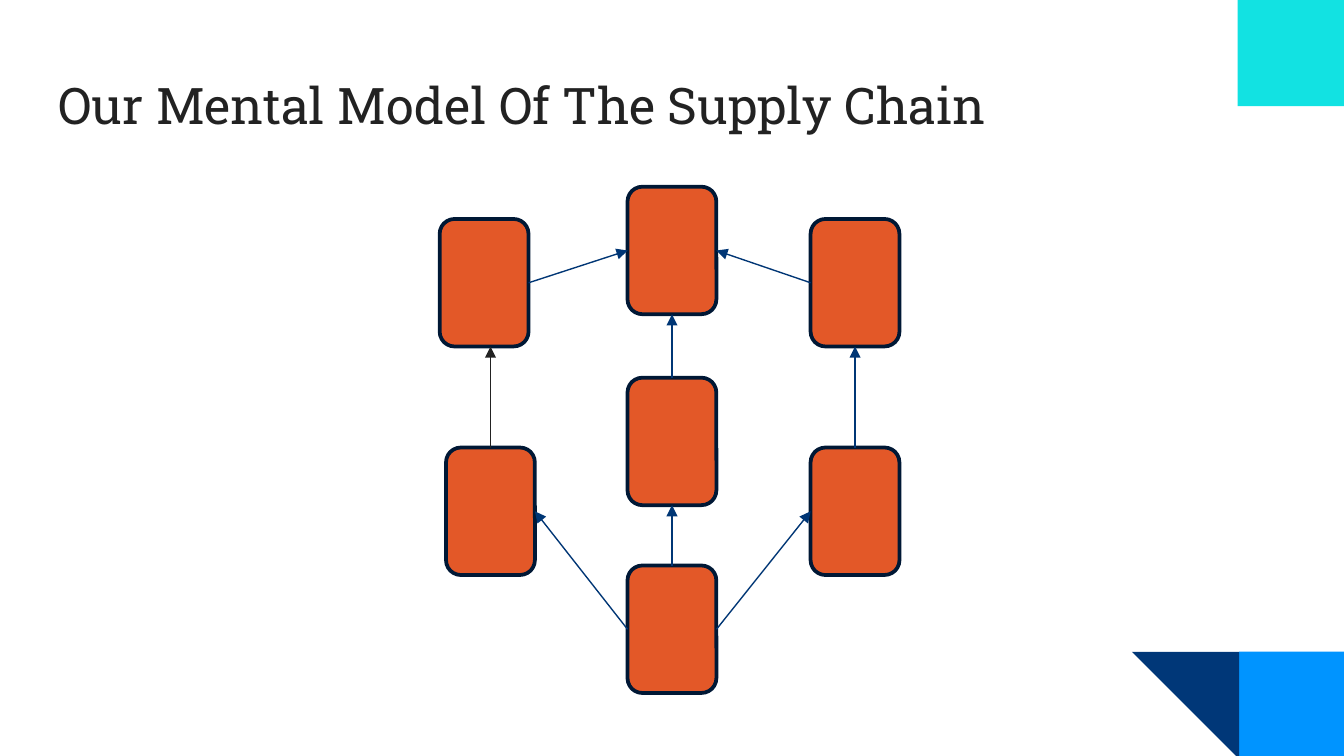
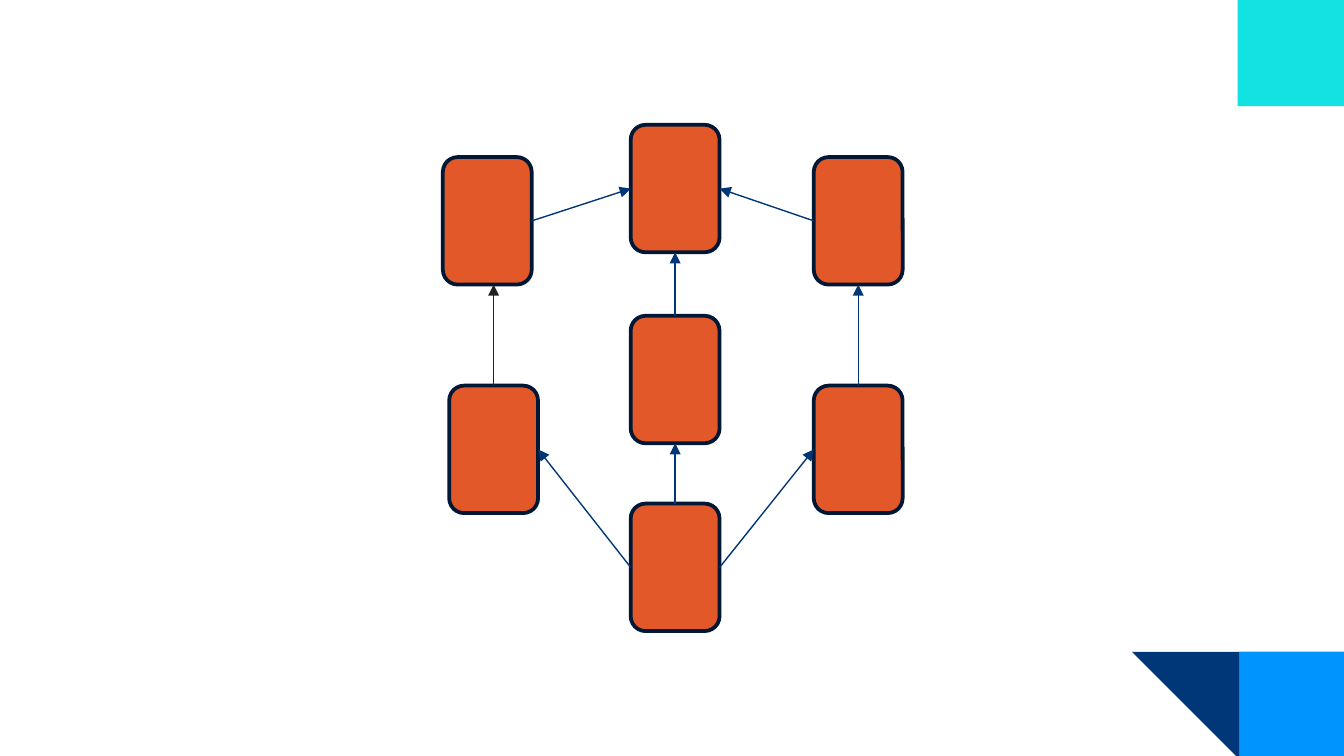
from lxml import etree
from pptx import Presentation
from pptx import util as u
from pptx.dml.color import RGBColor
from pptx.enum import shapes, text
from pptx.oxml import ns

COLORS = {
    "cyan": "12E2E2",
    "blue": "0094FF",
    "navy": "003778",
    "arrow": "003675",
    "ink": "222222",
    "box": "E35828",
    "outline": "001835",
}

SLIDES = [
    {"title": "Our Mental Model Of The Supply Chain", "shift": (0, 0), "grouped": False},
    {"title": None, "shift": (0.06, -1.17), "grouped": True},
]

CORNERS = [
    ("RECTANGLE", "blue", (23.42, 12.32, 2.01, 2.01), 0),
    ("RIGHT_TRIANGLE", "navy", (21.39, 12.32, 2.03, 2.03), 180),
    ("RECTANGLE", "cyan", (23.39, 0, 2.01, 2.01), 0),
]

TITLE_AREA = (0.86, 1.14, 23.67, 1.68)
TITLE_FORMAT = {"name": "Roboto Slab", "size": u.Pt(27), "bold": False}

BOX_WIDTH, BOX_HEIGHT = 1.68, 2.41
CENTER, RIGHT = 11.86, 15.32
UPPER, LOWER = 4.14, 8.46
BOXES = {
    "upper left": (8.31, UPPER),
    "top": (CENTER, 3.53),
    "upper right": (RIGHT, UPPER),
    "middle": (CENTER, 7.14),
    "lower left": (8.43, LOWER),
    "lower right": (RIGHT, LOWER),
    "bottom": (CENTER, 10.69),
}

SITES = {"top": (0, 0.5, 0), "left": (1, 0, 0.5), "bottom": (2, 0.5, 1), "right": (3, 1, 0.5)}
ARROWS = [
    ("lower left", "top", "upper left", "bottom", "ink"),
    ("bottom", "top", "middle", "bottom", "arrow"),
    ("bottom", "left", "lower left", "right", "arrow"),
    ("bottom", "right", "lower right", "left", "arrow"),
    ("middle", "top", "top", "bottom", "arrow"),
    ("lower right", "top", "upper right", "bottom", "arrow"),
    ("upper left", "right", "top", "left", "arrow"),
    ("upper right", "left", "top", "right", "arrow"),
]


def color(name):
    return RGBColor.from_string(COLORS[name])


def add_filled(container, kind, fill, area):
    shape = container.add_shape(getattr(shapes.MSO_SHAPE, kind), *map(u.Cm, area))
    shape.shadow.inherit = False
    shape.fill.solid()
    shape.fill.fore_color.rgb = color(fill)
    shape.line.fill.background()
    return shape


def add_corners(slide):
    for kind, fill, area, rotation in CORNERS:
        add_filled(slide.shapes, kind, fill, area).rotation = rotation


def add_title(slide, title):
    frame = slide.shapes.add_textbox(*map(u.Cm, TITLE_AREA)).text_frame
    frame.word_wrap = True
    frame.vertical_anchor = text.MSO_ANCHOR.MIDDLE
    for side in ("left", "top", "right", "bottom"):
        setattr(frame, f"margin_{side}", u.Cm(0.25))
    paragraph = frame.paragraphs[0]
    paragraph.text = title
    for name, value in TITLE_FORMAT.items():
        setattr(paragraph.font, name, value)
    paragraph.font.color.rgb = color("ink")


def add_box(container, left, top):
    shape = add_filled(container, "ROUNDED_RECTANGLE", "box", (left, top, BOX_WIDTH, BOX_HEIGHT))
    shape.line.color.rgb = color("outline")
    shape.line.width = u.Pt(2)
    return shape


def site_point(box, side):
    _, across, down = SITES[side]
    return box.left + int(box.width * across), box.top + int(box.height * down)


def add_arrow(container, start, start_side, end, end_side, tint):
    start_x, start_y = site_point(start, start_side)
    end_x, end_y = site_point(end, end_side)
    upright = start_side == "top"
    aligned = not upright or start_x == end_x
    if upright:
        end_x = start_x
    connector = container.add_connector(
        shapes.MSO_CONNECTOR.STRAIGHT, start_x, start_y, end_x, end_y
    )
    connector.begin_connect(start, SITES[start_side][0])
    if aligned:
        connector.end_connect(end, SITES[end_side][0])
    connector.line.color.rgb = color(tint)
    connector.line.width = u.Pt(0.75)
    line = connector.line._get_or_add_ln()
    etree.SubElement(line, ns.qn("a:tailEnd"), type="triangle")
    etree.SubElement(connector._element.spPr, ns.qn("a:effectLst"))


def add_supply_chain(slide, shift, grouped):
    container = slide.shapes.add_group_shape().shapes if grouped else slide.shapes
    boxes = {
        name: add_box(container, left + shift[0], top + shift[1])
        for name, (left, top) in BOXES.items()
    }
    for start, start_side, end, end_side, tint in ARROWS:
        add_arrow(container, boxes[start], start_side, boxes[end], end_side, tint)


def main():
    presentation = Presentation()
    presentation.slide_width = u.Cm(25.4)
    presentation.slide_height = u.Cm(14.29)
    for content in SLIDES:
        slide = presentation.slides.add_slide(presentation.slide_layouts[6])
        add_corners(slide)
        if content["title"]:
            add_title(slide, content["title"])
        add_supply_chain(slide, content["shift"], content["grouped"])
    presentation.save("out.pptx")


if __name__ == "__main__":
    main()
